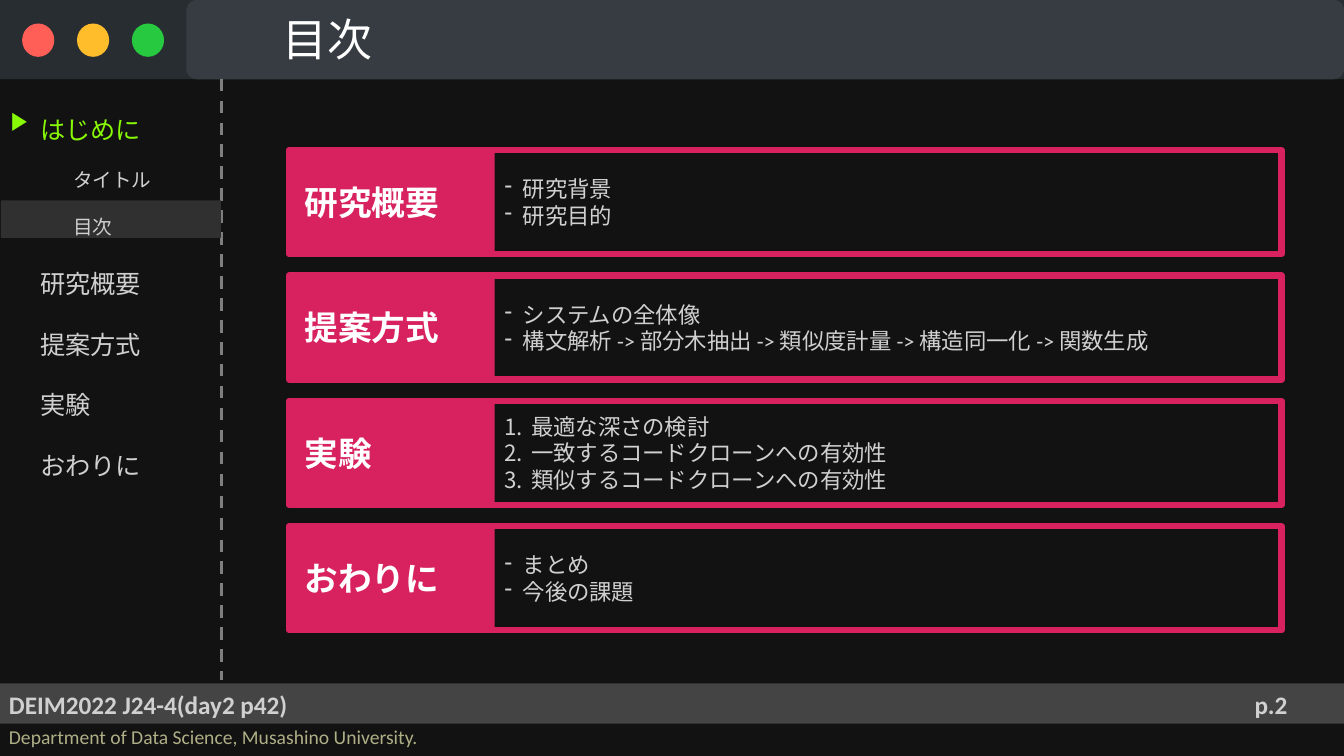
from lxml import etree
from pptx import Presentation
from pptx.dml.color import RGBColor
from pptx.enum.dml import MSO_LINE
from pptx.enum.lang import MSO_LANGUAGE_ID
from pptx.enum.shapes import MSO_CONNECTOR, MSO_SHAPE
from pptx.enum.text import MSO_ANCHOR, MSO_AUTO_SIZE, PP_ALIGN
from pptx.oxml.ns import qn
from pptx.util import Pt

RECT, OVAL, ROUNDED = MSO_SHAPE.RECTANGLE, MSO_SHAPE.OVAL, MSO_SHAPE.ROUNDED_RECTANGLE
STRAIGHT, DASH = MSO_CONNECTOR.STRAIGHT, MSO_LINE.DASH
TOP, MIDDLE = MSO_ANCHOR.TOP, MSO_ANCHOR.MIDDLE
LEFT, CENTER = PP_ALIGN.LEFT, PP_ALIGN.CENTER
NO_FIT, JAPANESE = MSO_AUTO_SIZE.NONE, MSO_LANGUAGE_ID.JAPANESE

BACKGROUND = RGBColor(0x12, 0x12, 0x12)
HEADER = RGBColor(0x28, 0x2D, 0x31)
TAB = RGBColor(0x36, 0x3C, 0x41)
FOOTER = RGBColor(0x44, 0x44, 0x44)
HIGHLIGHT = RGBColor(0x30, 0x30, 0x30)
DIVIDER = RGBColor(0x80, 0x7F, 0x80)
ACCENT = RGBColor(0xD7, 0x22, 0x5F)
ACTIVE = RGBColor(0x88, 0xF9, 0x06)
WHITE = RGBColor(0xFF, 0xFF, 0xFF)
BODY = RGBColor(0xD0, 0xD0, 0xD0)
AFFILIATION = RGBColor(0xAF, 0xAF, 0x87)
WINDOW_BUTTONS = (RGBColor(0xFF, 0x5F, 0x57), RGBColor(0xFF, 0xBD, 0x2B),
                  RGBColor(0x26, 0xC9, 0x3F))

TITLE_FONT = {"size": Pt(32), "color": WHITE}
CURRENT_FONT = {"size": Pt(18), "color": ACTIVE}
SECTION_FONT = {"size": Pt(18), "color": BODY}
PAGE_FONT = {"size": Pt(14), "color": BODY}
LABEL_FONT = {"size": Pt(24), "color": WHITE, "bold": True}
TOPIC_FONT = {"size": Pt(16), "color": BODY}
FOOTER_FONT = {"size": Pt(18), "color": BODY, "bold": True}
AFFILIATION_FONT = {"size": Pt(14), "color": AFFILIATION}

# Bullet tag, its attributes, hanging indent in points
DASHES = ("a:buChar", {"char": "-"}, 13)
NUMBERS = ("a:buAutoNum", {"type": "arabicPeriod"}, 19)
NO_BULLET = ("a:buNone", {}, 0)

# Text, font, indent in points
CONTENTS = [
    ("はじめに", CURRENT_FONT, 21.5),
    ("タイトル", PAGE_FONT, 45),
    ("目次", PAGE_FONT, 45),
    ("研究概要", SECTION_FONT, 21.5),
    ("提案方式", SECTION_FONT, 21.5),
    ("実験", SECTION_FONT, 21.5),
    ("おわりに", SECTION_FONT, 21.5),
]
SECTIONS = [
    ("研究概要", DASHES, ["研究背景", "研究目的"]),
    ("提案方式", DASHES, ["システムの全体像",
                      "構文解析 -> 部分木抽出 -> 類似度計量 -> 構造同一化 -> 関数生成"]),
    ("実験", NUMBERS, ["最適な深さの検討", "一致するコードクローンへの有効性",
                     "類似するコードクローンへの有効性"]),
    ("おわりに", DASHES, ["まとめ", "今後の課題"]),
]


def points(*lengths):
    return [Pt(length) for length in lengths]


def add_block(slide, kind, box, fill=None, line=None):
    block = slide.shapes.add_shape(kind, *points(*box))
    block.shadow.inherit = False
    if fill is None:
        block.fill.background()
    else:
        block.fill.solid()
        block.fill.fore_color.rgb = fill
    if line is None:
        block.line.fill.background()
    else:
        block.line.color.rgb = line
        block.line.width = Pt(4.5)
    return block


def add_text(slide, box, lines, **layout):
    """Add a text box with the given (text, font, indent) lines."""
    holder = slide.shapes.add_textbox(*points(*box))
    write(holder.text_frame, lines, **layout)


def write(frame, lines, anchor=TOP, align=LEFT, spacing=1.0, bullet=NO_BULLET):
    frame.word_wrap = True
    frame.auto_size = NO_FIT
    frame.vertical_anchor = anchor
    tag, attributes, hanging = bullet
    for number, (text, font, indent) in enumerate(lines):
        paragraph = frame.add_paragraph() if number else frame.paragraphs[0]
        layout = {"alignment": align, "line_spacing": spacing, "space_before": Pt(0)}
        for name, value in layout.items():
            setattr(paragraph, name, value)
        properties = paragraph._p.get_or_add_pPr()
        properties.set("marL", str(Pt(indent + hanging)))
        properties.set("indent", str(Pt(-hanging)))
        etree.SubElement(properties, qn(tag), attributes)
        run = paragraph.add_run()
        run.text = text
        run.font.name = "Calibri"
        run.font.language_id = JAPANESE
        for name, value in font.items():
            if name == "color":
                run.font.color.rgb = value
            else:
                setattr(run.font, name, value)


def fill_placeholder(slide, placeholder, box, lines, **layout):
    """Move a placeholder in front of what is drawn so far and fill it."""
    slide.shapes._spTree.append(placeholder._element)
    for side, length in zip(("left", "top", "width", "height"), points(*box)):
        setattr(placeholder, side, length)
    write(placeholder.text_frame, lines, **layout)


def draw_header(slide, box):
    x, y, width, height = box
    add_block(slide, RECT, box, HEADER)
    # Window buttons
    for number, color in enumerate(WINDOW_BUTTONS):
        add_block(slide, OVAL, (x + 15.8 + 39.2 * number, y + 16.8, 23, 23.8), color)
    # Tab with the title
    tab = add_block(slide, ROUNDED, (x + 133.2, y, width - 133.2, height), TAB)
    tab.adjustments[0] = 0.13
    fill_placeholder(slide, slide.shapes.title, (x + 158.4, y + 4.3, width - 158.4, 46),
                     [("目次", TITLE_FONT, 36)], anchor=MIDDLE)


def draw_sidebar(slide, box):
    x, y, width, height = box
    # Dashed divider
    divider = slide.shapes.add_connector(
        STRAIGHT, *points(x + width, y, x + width, y + height))
    divider.line.color.rgb = DIVIDER
    divider.line.width = Pt(2.25)
    divider.line.dash_style = DASH
    etree.SubElement(divider._element.spPr, qn("a:effectLst"))
    # Current page and contents
    add_block(slide, RECT, (x + 0.7, y + 87, width - 1.4, 26.7), HIGHLIGHT)
    fill_placeholder(slide, slide.placeholders[1], box, CONTENTS, spacing=2.0)
    # Marker of the current section
    add_text(slide, (x + 0.7, y + 14.4, 33, 29), [("▶︎", CURRENT_FONT, 0)])


def draw_section(slide, box, title, bullet, topics):
    x, y, width, height = box
    label_width = 148.3
    add_block(slide, RECT, (x + 1.4, y, width - 1.4, height), line=ACCENT)
    label = add_block(slide, RECT, (x, y, label_width, height), ACCENT)
    write(label.text_frame, [(title, LABEL_FONT, 5.4)], anchor=MIDDLE)
    add_text(slide, (x + label_width, y, 560, height),
             [(topic, TOPIC_FONT, 0) for topic in topics], anchor=MIDDLE, bullet=bullet)


def draw_agenda(slide, box):
    x, y, width, height = box
    row_height = 74.2
    pitch = (height - row_height) / (len(SECTIONS) - 1)
    for number, section in enumerate(SECTIONS):
        draw_section(slide, (x, y + pitch * number, width, row_height), *section)


def draw_footer(slide, box):
    x, y, width, height = box
    add_block(slide, RECT, box, FOOTER)
    add_text(slide, (x - 0.7, y + 0.9, 481, height),
             [("DEIM2022 J24-4(day2 p42)", FOOTER_FONT, 0)])
    add_text(slide, (x - 0.7, y + 26, 481, 24.5),
             [("Department of Data Science, Musashino University.", AFFILIATION_FONT, 0)])
    add_text(slide, (x + width - 104.6, y + 0.9, 105, height),
             [("p.2", FOOTER_FONT, 0)], anchor=MIDDLE, align=CENTER)


def main():
    deck = Presentation()
    deck.slide_width, deck.slide_height = points(960, 540)
    slide = deck.slides.add_slide(deck.slide_layouts[1])
    slide.background.fill.solid()
    slide.background.fill.fore_color.rgb = BACKGROUND
    draw_footer(slide, (0, 488.2, 960, 28.8))
    draw_header(slide, (0, 0, 960, 56.6))
    draw_sidebar(slide, (0, 56.2, 158.4, 429.8))
    draw_agenda(slide, (205, 107.3, 710.5, 342.9))
    deck.save("out.pptx")


if __name__ == "__main__":
    main()
